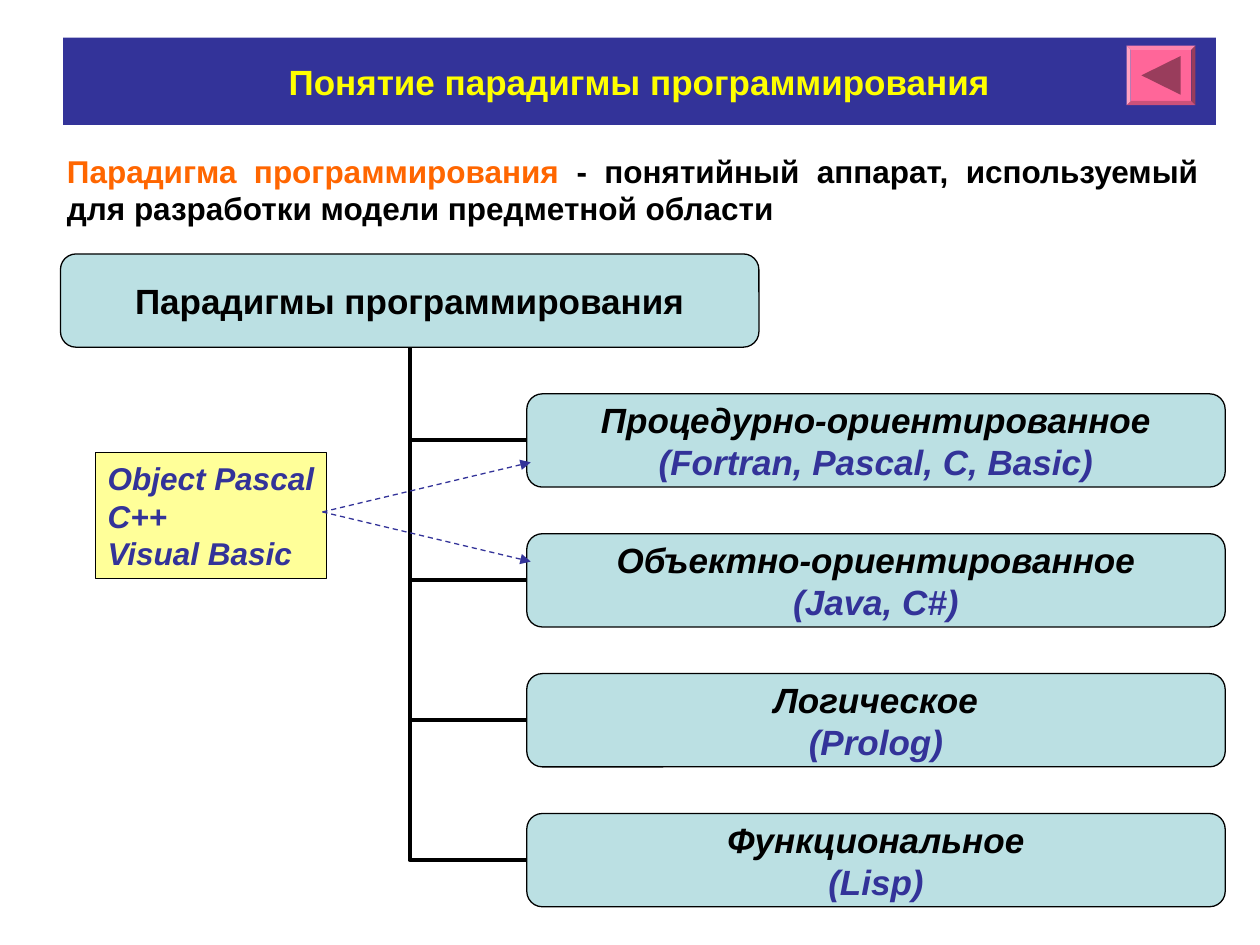
from lxml import etree
from pptx import Presentation
from pptx.dml.color import RGBColor
from pptx.enum.dml import MSO_LINE
from pptx.enum.shapes import MSO_CONNECTOR, MSO_SHAPE
from pptx.enum.text import MSO_ANCHOR, MSO_AUTO_SIZE, PP_ALIGN
from pptx.oxml.ns import qn
from pptx.util import Cm, Pt

CENTER, JUSTIFY, LEFT = PP_ALIGN.CENTER, PP_ALIGN.JUSTIFY, PP_ALIGN.LEFT
MIDDLE, TOP = MSO_ANCHOR.MIDDLE, MSO_ANCHOR.TOP
ELBOW, STRAIGHT = MSO_CONNECTOR.ELBOW, MSO_CONNECTOR.STRAIGHT
LEFT_SITE, BOTTOM_SITE = 1, 2

BLACK, BLUE, YELLOW, ORANGE = "000000", "333399", "FFFF00", "FF6600"
NODE_FILL, NOTE_FILL = "BBE0E3", "FFFF99"
BUTTON_FILL, ARROW_FILL = "FF6699", "993D5C"

TITLE = "Понятие парадигмы программирования"
TERM = "Парадигма программирования"
MEANING = " - понятийный аппарат, используемый для разработки модели предметной области"
ROOT = "Парадигмы программирования"
PARADIGMS = [
    ("Процедурно-ориентированное", "(Fortran, Pascal, C, Basic)"),
    ("Объектно-ориентированное", "(Java, C#)"),
    ("Логическое", "(Prolog)"),
    ("Функциональное", "(Lisp)"),
]
HYBRIDS = ["Object Pascal", "C++", "Visual Basic"]

# Centimetres
NODE_W, NODE_H, NODE_STEP = 14.08, 1.88, 2.82
ROOT_X, ROOT_Y, CHILD_X = 1.22, 5.12, 10.62
HYBRID_START = (6.5, 10.32)
HYBRID_ENDS = [(10.7, 9.32), (10.7, 11.32)]
BUTTON = (22.71, 0.92, 1.39, 1.2)
ARROW_POINTS = [(23.01, 1.52), (23.8, 1.13), (23.8, 1.91)]


def rgb(value):
    return RGBColor.from_string(value)


def style_font(run, size, color, italic=False):
    font = run.font
    font.name, font.size, font.bold, font.italic = "Arial", Pt(size), True, italic
    font.color.rgb = rgb(color)


def set_frame(frame, anchor, margin_x=0.25, margin_y=0.13, wrap=True):
    frame.auto_size = MSO_AUTO_SIZE.NONE
    frame.word_wrap = wrap
    frame.vertical_anchor = anchor
    frame.margin_left = frame.margin_right = Cm(margin_x)
    frame.margin_top = frame.margin_bottom = Cm(margin_y)


def write_lines(frame, lines, size, colors, align, italic=False):
    frame.text = "\n".join(lines)
    for paragraph, color in zip(frame.paragraphs, colors):
        paragraph.alignment = align
        style_font(paragraph.runs[0], size, color, italic)


def add_box(shapes, kind, box, fill, line=BLACK):
    shape = shapes.add_shape(kind, *map(Cm, box))
    shape.shadow.inherit = False
    shape.fill.solid()
    shape.fill.fore_color.rgb = rgb(fill)
    if line:
        shape.line.color.rgb = rgb(line)
        shape.line.width = Pt(0.75)
    else:
        shape.line.fill.background()
    return shape


def add_node(shapes, x, y, lines, italic):
    node = add_box(shapes, MSO_SHAPE.ROUNDED_RECTANGLE, (x, y, NODE_W, NODE_H), NODE_FILL)
    set_frame(node.text_frame, MIDDLE, 0, 0)
    write_lines(node.text_frame, lines, 20, [BLACK, BLUE], CENTER, italic)
    return node


def add_line(shapes, kind, start, end, color, width):
    line = shapes.add_connector(kind, *map(Cm, start + end))
    line.line.color.rgb = rgb(color)
    line.line.width = Pt(width)
    etree.SubElement(line._element.spPr, qn("a:effectLst"))
    return line


def add_branch(shapes, child, root):
    """Join a child's left side to the root's bottom with a single bend."""
    branch = add_line(shapes, ELBOW, (0, 0), (1, 1), BLACK, 2.25)
    branch.begin_connect(child, LEFT_SITE)
    branch.end_connect(root, BOTTOM_SITE)
    branch._element.spPr.find(qn("a:prstGeom")).set("prst", "bentConnector2")


def add_dashed_arrow(shapes, start, end):
    arrow = add_line(shapes, STRAIGHT, start, end, BLUE, 0.75)
    arrow.line.dash_style = MSO_LINE.DASH
    etree.SubElement(arrow.line._get_or_add_ln(), qn("a:tailEnd"), type="triangle")


def add_back_button(shapes):
    button = add_box(shapes, MSO_SHAPE.BEVEL, BUTTON, BUTTON_FILL, None)
    button.adjustments[0] = 0.07
    first, *rest = [(Cm(x), Cm(y)) for x, y in ARROW_POINTS]
    builder = shapes.build_freeform(*first)
    builder.add_line_segments(rest, close=True)
    arrow = builder.convert_to_shape()
    arrow.shadow.inherit = False
    arrow.fill.solid()
    arrow.fill.fore_color.rgb = rgb(ARROW_FILL)
    arrow.line.fill.background()


def main():
    deck = Presentation()
    deck.slide_width, deck.slide_height = Cm(25.4), Cm(19.05)
    shapes = deck.slides.add_slide(deck.slide_layouts[5]).shapes

    title = shapes.title
    title.left, title.top, title.width, title.height = map(Cm, (1.27, 0.76, 23.24, 1.76))
    title.fill.solid()
    title.fill.fore_color.rgb = rgb(BLUE)
    set_frame(title.text_frame, MIDDLE)
    write_lines(title.text_frame, [TITLE], 20, [YELLOW], CENTER)

    definition = shapes.add_textbox(*map(Cm, (1.1, 2.93, 23.31, 1.78))).text_frame
    set_frame(definition, MIDDLE)
    write_lines(definition, [TERM], 18, [ORANGE], JUSTIFY)
    meaning = definition.paragraphs[0].add_run()
    meaning.text = MEANING
    style_font(meaning, 18, BLACK)

    root = add_node(shapes, ROOT_X, ROOT_Y, [ROOT], italic=False)
    for level, lines in enumerate(PARADIGMS, start=1):
        child = add_node(shapes, CHILD_X, ROOT_Y + level * NODE_STEP, lines, italic=True)
        add_branch(shapes, child, root)

    note = add_box(shapes, MSO_SHAPE.RECTANGLE, (1.92, 9.12, 4.67, 2.54), NOTE_FILL)
    set_frame(note.text_frame, TOP, wrap=False)
    write_lines(note.text_frame, HYBRIDS, 18, [BLUE] * len(HYBRIDS), LEFT, italic=True)
    for end in HYBRID_ENDS:
        add_dashed_arrow(shapes, HYBRID_START, end)

    add_back_button(shapes)
    deck.save("out.pptx")


if __name__ == "__main__":
    main()
